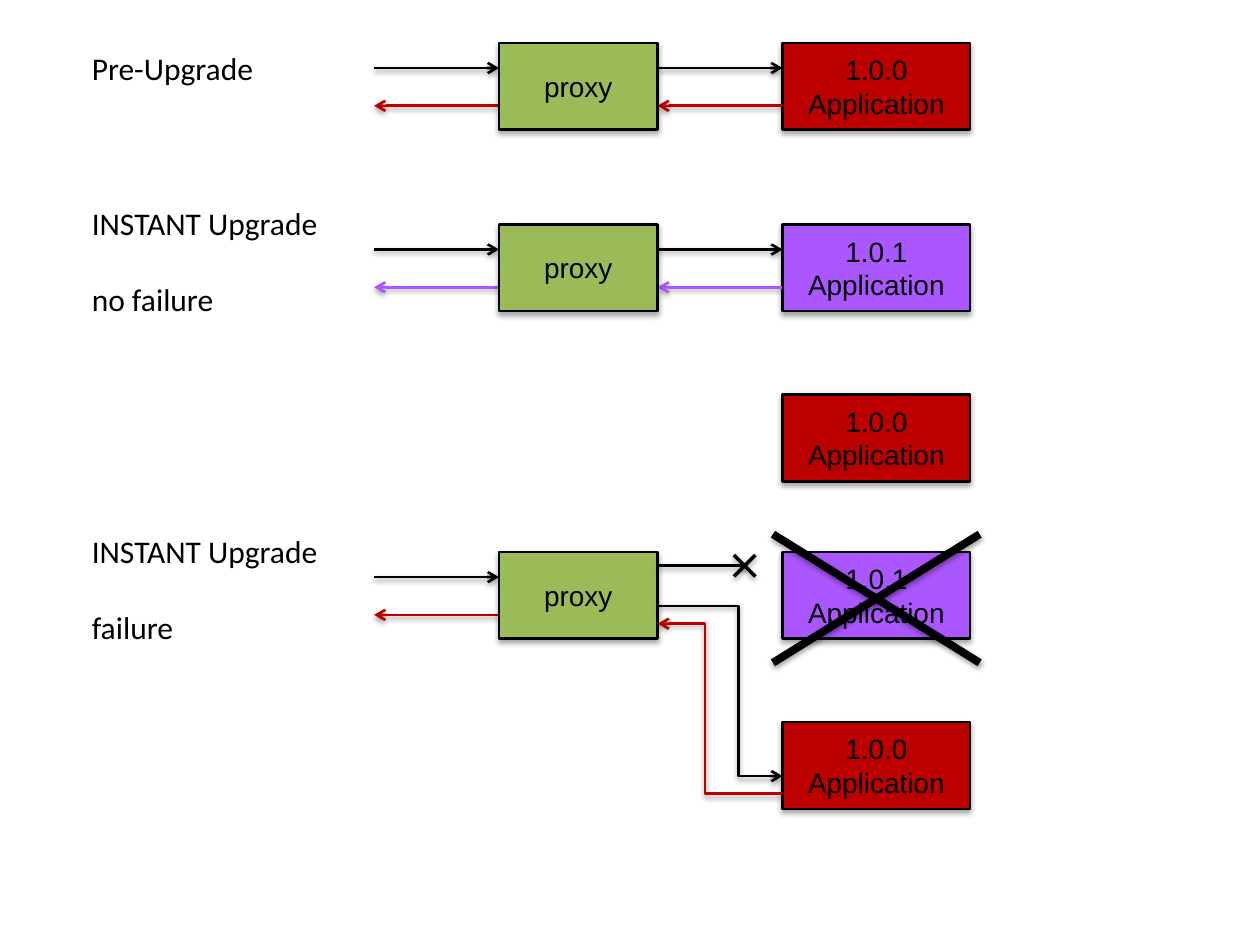
from dataclasses import dataclass

from lxml import etree
from pptx import Presentation
from pptx.dml.color import RGBColor
from pptx.enum.shapes import MSO_CONNECTOR, MSO_SHAPE
from pptx.enum.text import MSO_ANCHOR, MSO_AUTO_SIZE, PP_ALIGN
from pptx.oxml.ns import qn
from pptx.util import Inches, Pt

RECTANGLE = MSO_SHAPE.RECTANGLE
STRAIGHT, ELBOW = MSO_CONNECTOR.STRAIGHT, MSO_CONNECTOR.ELBOW
MIDDLE, CENTER = MSO_ANCHOR.MIDDLE, PP_ALIGN.CENTER
GROW = MSO_AUTO_SIZE.SHAPE_TO_FIT_TEXT

BLACK, GREEN, RED, PURPLE = "000000", "9BBB59", "BC0000", "AB57FF"

# Columns and row measures, in inches
LABEL_LEFT, LABEL_WIDTH = 0.63, 2.18
CLIENT = 2.97
PROXY_LEFT, PROXY_WIDTH = 3.96, 1.26
PROXY_RIGHT = PROXY_LEFT + PROXY_WIDTH
APP_LEFT, APP_WIDTH = 6.21, 1.49
BOX_HEIGHT = 0.69
REQUEST, RESPONSE = 0.2, 0.5  # arrow heights below a row's top
STANDBY = 1.35  # drop from an application to its fallback
OLD, NEW = ("1.0.0 Application", RED), ("1.0.1 Application", PURPLE)


@dataclass
class Stage:
    top: float
    label: list[str]
    label_rise: float
    app: tuple[str, str]
    reply: str
    standby: bool
    app_reached: bool


STAGES = [
    Stage(0.34, ["Pre-Upgrade"], 0, OLD, RED, False, True),
    Stage(1.78, ["INSTANT Upgrade", "no failure"], 0.21, NEW, PURPLE, True, True),
    Stage(4.38, ["INSTANT Upgrade", "failure"], 0.21, NEW, RED, True, False),
]


def colour(value: str) -> RGBColor:
    return RGBColor.from_string(value)


def add_shadow(shape, distance: float, opacity: int) -> None:
    """Soft black shadow straight below the shape."""
    effects = etree.SubElement(shape._element.spPr, qn("a:effectLst"))
    shadow = etree.SubElement(effects, qn("a:outerShdw"), blurRad=str(Pt(3.15)),
                              dist=str(Pt(distance)), dir="5400000", rotWithShape="0")
    black = etree.SubElement(shadow, qn("a:srgbClr"), val=BLACK)
    etree.SubElement(black, qn("a:alpha"), val=str(opacity * 1000))


def add_span(para, text: str, font: str, size: int) -> None:
    span = para.add_run()
    span.text = text
    span.font.name, span.font.size = font, Pt(size)
    span.font.color.rgb = colour(BLACK)


def add_label(page, top: float, lines: list[str]) -> None:
    height = 0.4 if len(lines) == 1 else 1.01
    box = page.shapes.add_textbox(Inches(LABEL_LEFT), Inches(top),
                                  Inches(LABEL_WIDTH), Inches(height))
    frame = box.text_frame
    frame.word_wrap, frame.auto_size = True, GROW
    for index, line in enumerate(lines):
        para = frame.add_paragraph() if index else frame.paragraphs[0]
        if index:
            para.space_before = Pt(22)
        add_span(para, line, "Calibri", 18)


def add_box(page, left: float, top: float, width: float, text: str, fill: str) -> None:
    box = page.shapes.add_shape(RECTANGLE, Inches(left), Inches(top),
                                Inches(width), Inches(BOX_HEIGHT))
    box.fill.solid()
    box.fill.fore_color.rgb = colour(fill)
    box.line.color.rgb = colour(BLACK)
    box.line.width = Pt(1.5)
    add_shadow(box, 1.8, 35)
    frame = box.text_frame
    frame.word_wrap, frame.vertical_anchor = True, MIDDLE
    para = frame.paragraphs[0]
    para.alignment = CENTER
    add_span(para, text, "Arial", 16)


def add_line(page, start: tuple[float, float], end: tuple[float, float],
             ink: str = BLACK, weight: float = 1.5, arrow: str = "",
             bend: float | None = None) -> None:
    """Line with an optional arrow ("headEnd" at start, "tailEnd" at end) and bend."""
    line = page.shapes.add_connector(STRAIGHT if bend is None else ELBOW,
                                     *(Inches(value) for value in start + end))
    line.line.color.rgb = colour(ink)
    line.line.width = Pt(weight)
    properties = line._element.spPr
    if arrow:
        etree.SubElement(properties.find(qn("a:ln")), qn("a:" + arrow), type="arrow")
    if bend is not None:
        guides = properties.find(qn("a:prstGeom")).get_or_add_avLst()
        etree.SubElement(guides, qn("a:gd"), name="adj1",
                         fmla=f"val {round(bend * 100000)}")
    add_shadow(line, 1.6, 38)


def add_exchange(page, left: float, right: float, top: float, reply: str) -> None:
    """Request arrow to the right, reply arrow back to the left."""
    add_line(page, (left, top + REQUEST), (right, top + REQUEST), arrow="tailEnd")
    add_line(page, (left, top + RESPONSE), (right, top + RESPONSE), reply, arrow="headEnd")


def add_cross(page, middle: tuple[float, float], width: float, height: float,
              weight: float) -> None:
    x, y = middle
    for sign in (1, -1):
        rise = sign * height / 2
        add_line(page, (x + width / 2, y - rise), (x - width / 2, y + rise), weight=weight)


def add_stage(page, stage: Stage) -> None:
    top = stage.top
    add_label(page, top - stage.label_rise, stage.label)
    if stage.standby:
        add_box(page, APP_LEFT, top + STANDBY, APP_WIDTH, *OLD)
    add_box(page, APP_LEFT, top, APP_WIDTH, *stage.app)
    add_exchange(page, CLIENT, PROXY_LEFT, top, stage.reply)
    if stage.app_reached:
        add_exchange(page, PROXY_RIGHT, APP_LEFT, top, stage.reply)
    add_box(page, PROXY_LEFT, top, PROXY_WIDTH, "proxy", GREEN)


def add_failover(page, top: float) -> None:
    # Traffic rerouted to the standby application
    for drop, ink, arrow, bend in ((0.43, BLACK, "tailEnd", 0.65),
                                   (0.57, RED, "headEnd", 0.38)):
        add_line(page, (PROXY_RIGHT, top + drop), (APP_LEFT, top + drop + STANDBY),
                 ink, arrow=arrow, bend=bend)
    # Blocked request and crossed-out application
    blocked = (5.91, top + 0.11)
    add_line(page, (PROXY_RIGHT, top + 0.11), blocked)
    add_cross(page, blocked, 0.17, 0.17, 2)
    add_cross(page, (APP_LEFT + APP_WIDTH / 2, top + 0.37), 1.64, 1.02, 4.5)


def main() -> None:
    deck = Presentation()
    deck.slide_width, deck.slide_height = Inches(10), Inches(7.5)
    page = deck.slides.add_slide(deck.slide_layouts[6])
    for stage in STAGES:
        add_stage(page, stage)
    add_failover(page, STAGES[-1].top)
    deck.save("out.pptx")


if __name__ == "__main__":
    main()
